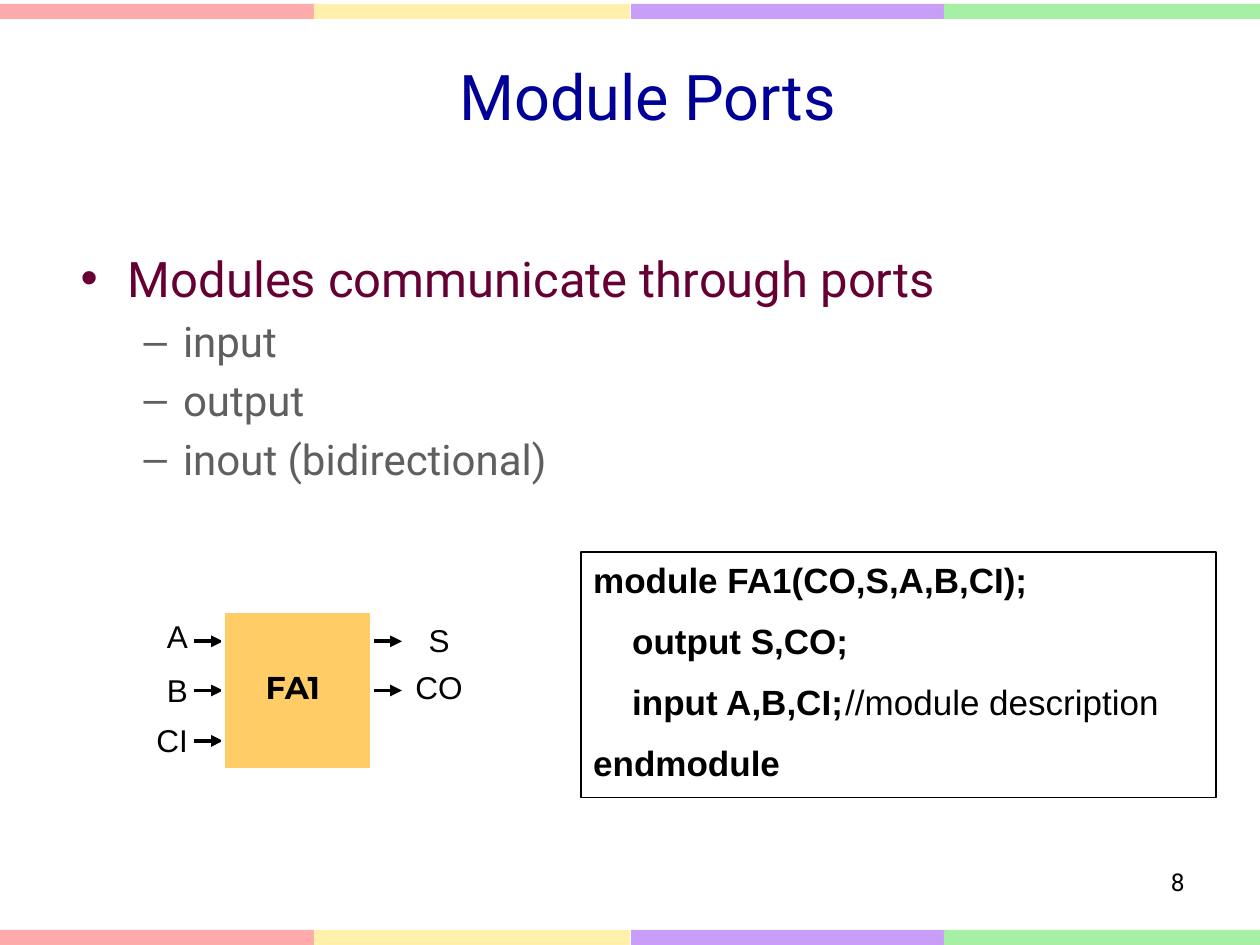
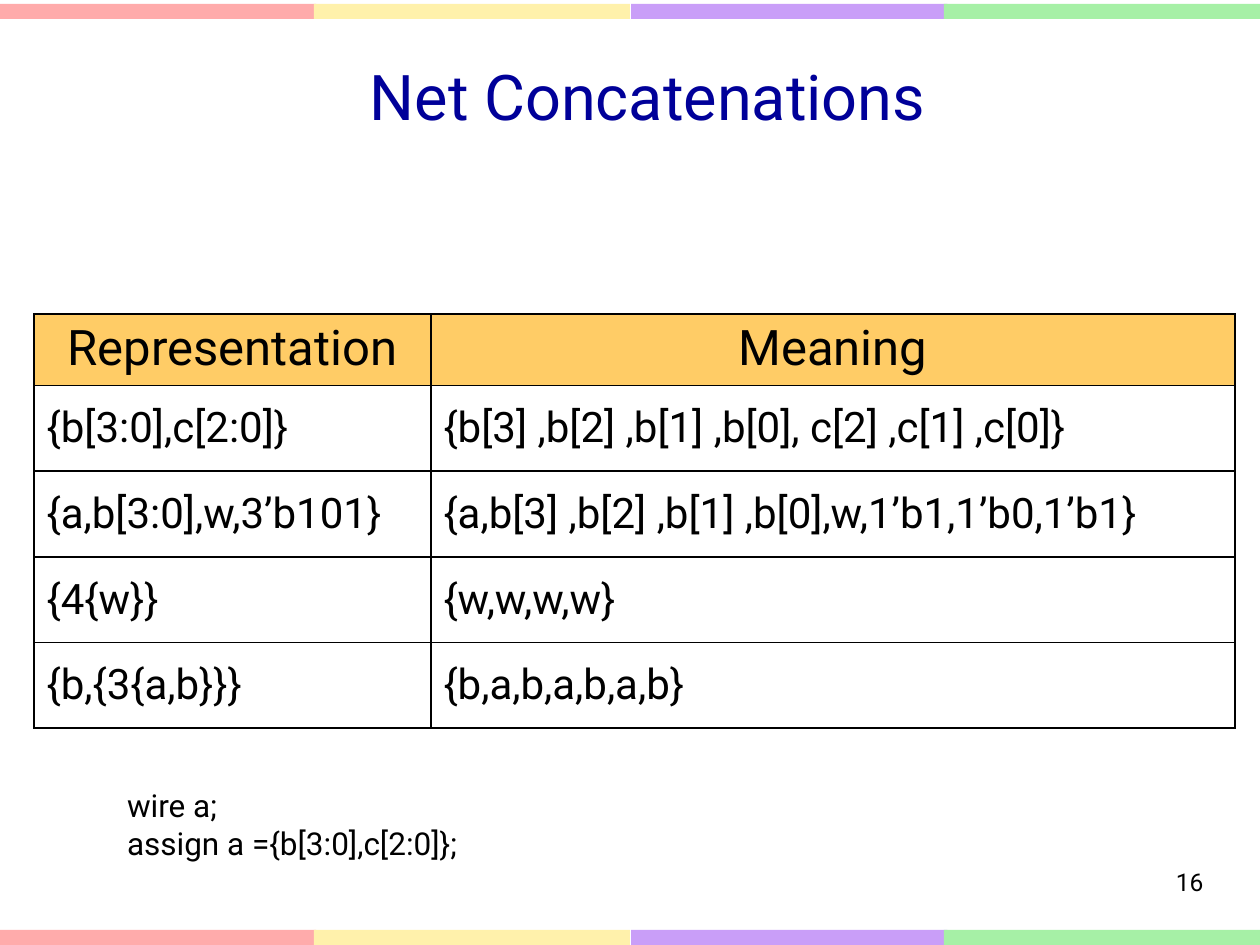
from lxml import etree
from pptx import Presentation
from pptx.dml.color import RGBColor
from pptx.enum.shapes import MSO_CONNECTOR, MSO_SHAPE
from pptx.enum.text import MSO_ANCHOR, PP_ALIGN
from pptx.oxml.ns import qn
from pptx.util import Emu, Pt

PX = 9144  # EMU per px, 100 px to the inch
LEFT, CENTER, RIGHT = PP_ALIGN.LEFT, PP_ALIGN.CENTER, PP_ALIGN.RIGHT
TOP, MIDDLE = MSO_ANCHOR.TOP, MSO_ANCHOR.MIDDLE
RECT, STRAIGHT = MSO_SHAPE.RECTANGLE, MSO_CONNECTOR.STRAIGHT
TITLE_AND_BODY, TITLE_ONLY = 1, 5

COLORS = {
    "title": "000099", "topic": "660033", "detail": "5F5F5F",
    "ink": "000000", "paper": "FFFFFF", "accent": "FFCC66",
    "pink": "FFABAB", "yellow": "FFF1AB", "violet": "C99EF8", "green": "A6F0A6",
}
BANDS = {"pink": 0, "yellow": 249, "violet": 501, "green": 749}  # colour: left
FORMATS = {
    "title": {"name": "Roboto", "size": Pt(36)},
    "topic": {"name": "Roboto", "size": Pt(28)},
    "detail": {"name": "Roboto", "size": Pt(24)},
    "note": {"name": "Roboto", "size": Pt(18)},
    "number": {"name": "Roboto", "size": Pt(14)},
    "head": {"name": "Roboto", "size": Pt(28), "bold": False},
    "cell": {"name": "Roboto", "size": Pt(24), "bold": False},
    "port": {"name": "Arial", "size": Pt(18)},
    "block": {"name": "Montserrat", "size": Pt(18), "bold": True},
    "code": {"name": "Arial", "size": Pt(20), "bold": True},
    "comment": {"name": "Arial", "size": Pt(20), "bold": False},
}


def px(*lengths):
    return [Emu(n * PX) for n in lengths]


def rgb(name):
    return RGBColor.from_string(COLORS[name])


class Deck:
    """Holds the shared style and the current slide."""

    def __init__(self):
        self.prs = Presentation()
        self.prs.slide_width, self.prs.slide_height = px(1000, 750)
        self.s = None

    def new_slide(self, title, number, layout, number_width):
        self.s = self.prs.slides.add_slide(self.prs.slide_layouts[layout])
        for y in (3, 738):
            for color, x in BANDS.items():
                self.rect(x, y, 251, 12, fill=color)
        sp = self.s.shapes.title
        self.place(sp, 129, 13, 770, 125)
        sp.text_frame.vertical_anchor = MIDDLE
        self.styled_run(sp.text_frame.paragraphs[0], title, "title", CENTER)
        self.text(717, 683, number_width, 52, [number], "number", RIGHT)

    def place(self, sp, *box):
        sp.left, sp.top, sp.width, sp.height = px(*box)

    def styled_run(self, p, text, style, align=LEFT):
        p.alignment = align
        r = p.add_run()
        r.text = text
        for name, value in FORMATS[style].items():
            setattr(r.font, name, value)
        r.font.color.rgb = rgb(style if style in COLORS else "ink")

    def paragraphs(self, tf, count):
        return [tf.paragraphs[0]] + [tf.add_paragraph() for _ in range(count - 1)]

    def text(self, x, y, w, h, lines, style, align=LEFT, wrap=True):
        tf = self.s.shapes.add_textbox(*px(x, y, w, h)).text_frame
        tf.word_wrap = wrap
        for p, line in zip(self.paragraphs(tf, len(lines)), lines):
            self.styled_run(p, line, style, align)

    def bullets(self, box, items):
        sp = self.s.placeholders[1]
        self.place(sp, *box)
        for p, (level, text) in zip(self.paragraphs(sp.text_frame, len(items)), items):
            p.level = level
            self.styled_run(p, text, ("topic", "detail")[level])

    def rect(self, x, y, w, h, fill=None, line=None, weight=1):
        sp = self.s.shapes.add_shape(RECT, *px(x, y, w, h))
        sp.shadow.inherit = False
        if fill:
            sp.fill.solid()
            sp.fill.fore_color.rgb = rgb(fill)
        else:
            sp.fill.background()
        if line:
            sp.line.color.rgb = rgb(line)
            sp.line.width = Pt(weight)
        else:
            sp.line.fill.background()
        return sp

    def code(self, box, lines, comment_at):
        """Each line is (indent, statement, comment)."""
        tf = self.rect(*box, line="ink").text_frame
        tf.word_wrap = True
        tf.vertical_anchor = TOP
        for p, (indent, statement, comment) in zip(self.paragraphs(tf, len(lines)), lines):
            p.space_before = Pt(11)
            self.styled_run(p, statement, "code")
            pPr = p._p.get_or_add_pPr()
            pPr.set("marL", "0")
            pPr.set("indent", str(indent * PX))
            if comment:
                tabs = etree.SubElement(pPr, qn("a:tabLst"))
                etree.SubElement(tabs, qn("a:tab"), pos=str(comment_at * PX), algn="l")
                self.styled_run(p, "\t" + comment, "comment")

    def arrow(self, x1, x2, y):
        c = self.s.shapes.add_connector(STRAIGHT, *px(x1, y, x2, y))
        c.line.color.rgb = rgb("ink")
        c.line.width = Pt(2.25)
        spPr = c._element.spPr
        etree.SubElement(spPr.find(qn("a:ln")), qn("a:tailEnd"), type="triangle")
        etree.SubElement(spPr, qn("a:effectLst"))

    def table(self, x, y, widths, heights, rows):
        frame = self.s.shapes.add_table(len(rows), len(widths),
                                        *px(x, y, sum(widths), sum(heights)))
        table = frame.table
        table.first_row = table.horz_banding = False
        for column, w in zip(table.columns, px(*widths)):
            column.width = w
        for row, h in zip(table.rows, px(*heights)):
            row.height = h
        for i, values in enumerate(rows):
            for j, value in enumerate(values):
                self.cell(table.cell(i, j), value, header=i == 0)

    def cell(self, cell, value, header):
        tcPr = cell._tc.get_or_add_tcPr()
        for side in ("lnL", "lnR", "lnT", "lnB"):
            ln = etree.SubElement(tcPr, qn("a:" + side), w=str(Pt(1)))
            fill = etree.SubElement(ln, qn("a:solidFill"))
            etree.SubElement(fill, qn("a:srgbClr"), val=COLORS["ink"])
        if header:
            cell.fill.solid()
            cell.fill.fore_color.rgb = rgb("accent")
        else:
            cell.fill.background()
        cell.vertical_anchor = TOP if header else MIDDLE
        self.styled_run(cell.text_frame.paragraphs[0], value,
                        "head" if header else "cell", CENTER if header else LEFT)


def module_ports(deck):
    deck.new_slide("Module Ports", "8", TITLE_AND_BODY, 233)
    deck.bullets((54, 192, 923, 450), [
        (0, "Modules communicate through ports"),
        (1, "input"), (1, "output"), (1, "inout (bidirectional)")])
    deck.code((461, 438, 504, 195), [
        (0, "module FA1(CO,S,A,B,CI);", ""),
        (31, "output S,CO;", ""),
        (31, "input A,B,CI;", "//module description"),
        (0, "endmodule", "")], comment_at=228)

    # Full adder block with its ports
    for y in (509, 548, 588):
        deck.arrow(154, 177, y)
    for y in (509, 548):
        deck.arrow(295, 319, y)
    deck.rect(177, 485, 118, 126, fill="accent", line="paper", weight=2.25)
    deck.text(201, 525, 79, 41, ["FA1"], "block")
    for port, y in (("A", 485), ("B", 528), ("CI", 567)):
        deck.text(59, y, 100, 41, [port], "port", RIGHT)
    for port, y in (("S", 488), ("CO", 525)):
        deck.text(317, y, 63, 41, [port], "port", CENTER)


def net_concatenations(deck):
    deck.new_slide("Net Concatenations", "16", TITLE_ONLY, 248)
    deck.table(27, 249, (315, 638), [57] + [68] * 4, [
        ("Representation", "Meaning"),
        ("{b[3:0],c[2:0]}", "{b[3] ,b[2] ,b[1] ,b[0], c[2] ,c[1] ,c[0]}"),
        ("{a,b[3:0],w,3’b101}", "{a,b[3] ,b[2] ,b[1] ,b[0],w,1’b1,1’b0,1’b1}"),
        ("{4{w}}", "{w,w,w,w}"),
        ("{b,{3{a,b}}}", "{b,a,b,a,b,a,b}")])
    deck.text(91, 619, 302, 71, ["wire a;", "assign a ={b[3:0],c[2:0]};"],
              "note", wrap=False)


def main():
    deck = Deck()
    module_ports(deck)
    net_concatenations(deck)
    deck.prs.save("out.pptx")


if __name__ == "__main__":
    main()
